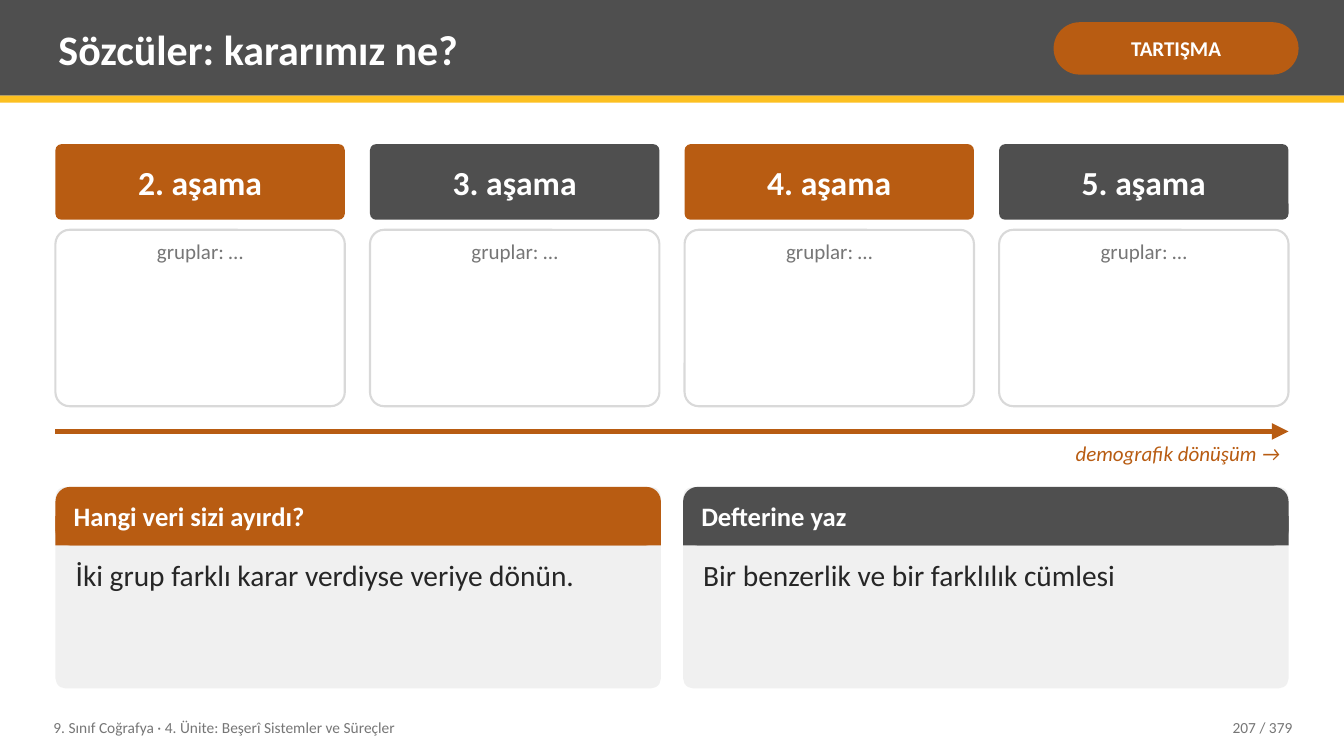
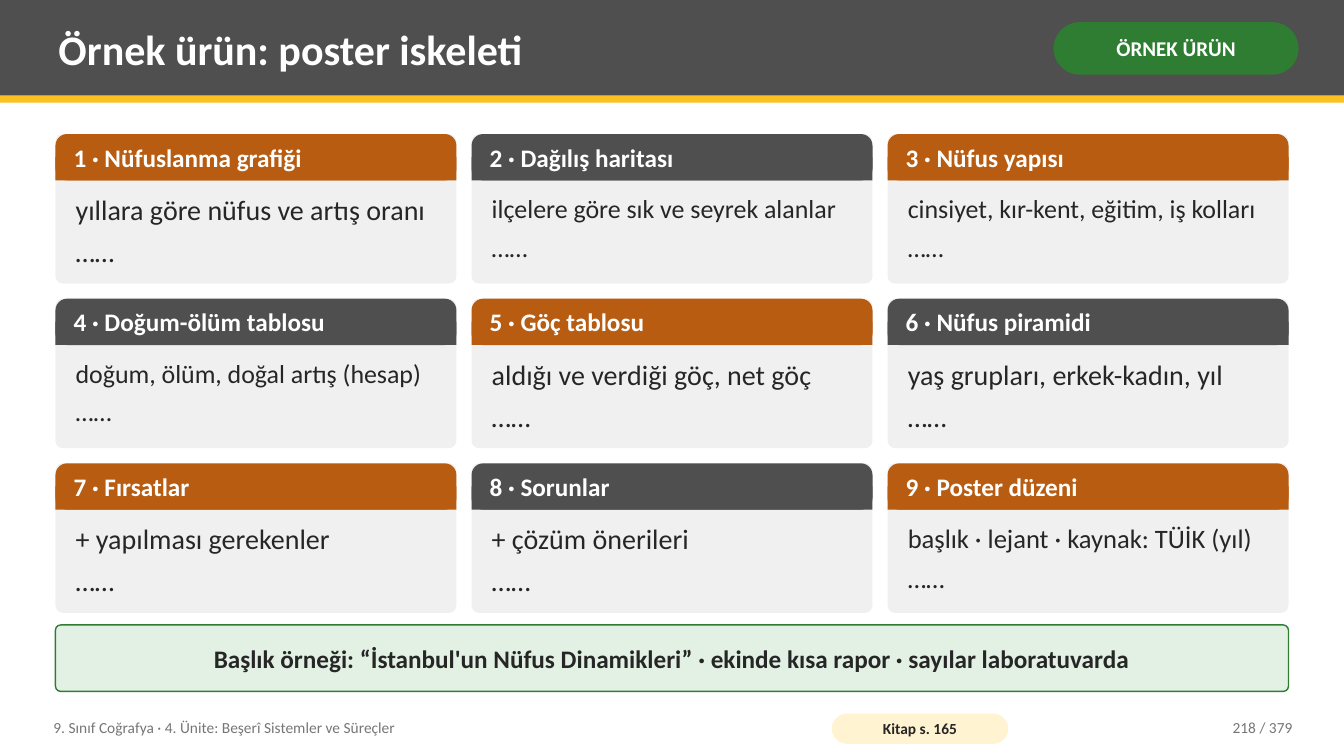
from pptx import Presentation
from pptx.dml.color import RGBColor
from pptx.enum.shapes import MSO_CONNECTOR, MSO_SHAPE as Shape
from pptx.enum.text import MSO_ANCHOR as Anchor, PP_ALIGN as Align
from pptx.oxml.ns import qn
from pptx.util import Emu, Pt
from lxml.etree import SubElement

SCALE = 9144  # EMU in one px, 100 px to the inch
WIDE, HIGH = 1333, 750
LEFT, SPAN = 55, 1223
FONT = "Calibri"

WHITE = RGBColor(0xFF, 0xFF, 0xFF)
GRAY = RGBColor(0x4F, 0x4F, 0x4F)
GOLD = RGBColor(0xFC, 0xC0, 0x21)
RUST = RGBColor(0xB8, 0x5C, 0x12)
GREEN = RGBColor(0x2E, 0x7D, 0x32)
MINT = RGBColor(0xE3, 0xF1, 0xE4)
CREAM = RGBColor(0xFF, 0xF3, 0xD1)
PALE = RGBColor(0xF0, 0xF0, 0xF0)
EDGE = RGBColor(0xD9, 0xD9, 0xD9)
MUTED = RGBColor(0x76, 0x76, 0x76)
INK = RGBColor(0x26, 0x26, 0x26)

UNIT = "9. Sınıf Coğrafya · 4. Ünite: Beşerî Sistemler ve Süreçler"
TOTAL = 379
DOTS = "……"


def px(num):
    return Emu(round(num * SCALE))


def split(start, total, count, gap):
    """Return the starts of equal parts and the size of one part."""
    size = (total - gap * (count - 1)) / count
    return [start + i * (size + gap) for i in range(count)], size


def tint(index):
    return GRAY if index % 2 else RUST


def write(shape, lines, size, color, bold=False, italic=False,
          align=Align.LEFT, anchor=Anchor.MIDDLE, pad=(8, 4), after=0):
    """Fill a shape with one paragraph per line; after is the gap between."""
    frame = shape.text_frame
    frame.word_wrap = True
    frame.vertical_anchor = anchor
    frame.margin_left = frame.margin_right = px(pad[0])
    frame.margin_top = frame.margin_bottom = px(pad[1])
    frame.text = "\n".join(lines)
    for para in frame.paragraphs:
        para.alignment = align
        font = para.font
        font.name, font.size, font.color.rgb = FONT, Pt(size), color
        font.bold, font.italic = bold, italic
    for para in frame.paragraphs[:-1]:
        para.space_after = Pt(after)


def label(slide, box, lines, size, color, **style):
    area = slide.shapes.add_textbox(*map(px, box))
    write(area, lines, size, color, **style)


def block(slide, box, fill, curve=None, line=None, weight=1):
    """Add a filled rectangle, rounded when curve is given."""
    kind = Shape.RECTANGLE if curve is None else Shape.ROUNDED_RECTANGLE
    shape = slide.shapes.add_shape(kind, *map(px, box))
    shape.shadow.inherit = False
    if curve is not None:
        shape.adjustments[0] = curve
    shape.fill.solid()
    shape.fill.fore_color.rgb = fill
    if line is None:
        shape.line.fill.background()
    else:
        shape.line.color.rgb = line
        shape.line.width = Pt(weight)
    return shape


def header(slide, title, tag, color):
    block(slide, (0, 0, WIDE, 95), GRAY)
    block(slide, (0, 95, WIDE, 7), GOLD)
    label(slide, (50, 7, 975, 82), [title], 30, WHITE, bold=True)
    pill = block(slide, (1045, 22, 243, 52), color, 0.5)
    write(pill, [tag], 15, WHITE, bold=True, align=Align.CENTER, pad=(5, 2))


def footer(slide, page, book=None):
    label(slide, (45, 704, 760, 36), [UNIT], 11, MUTED)
    if book:
        pill = block(slide, (825, 708, 175, 30), CREAM, 0.5)
        write(pill, [book], 11, INK, bold=True, align=Align.CENTER, pad=(4, 0))
    label(slide, (1130, 704, 160, 36), [f"{page} / {TOTAL}"], 11, MUTED,
          align=Align.RIGHT)


def stage(slide, box, name, color):
    """Stage heading above an empty box for the groups."""
    x, y, w, h = box
    head = block(slide, (x, y, w, 75), color, 0.08)
    write(head, [name], 24, WHITE, bold=True, align=Align.CENTER, pad=(14, 8))
    block(slide, (x, y + 85, w, h - 85), WHITE, 0.08, EDGE, 1.5)
    label(slide, (x, y + 90, w, 40), ["gruplar: …"], 15, MUTED,
          align=Align.CENTER, anchor=Anchor.TOP)


def arrow(slide, x, y, w, text):
    line = slide.shapes.add_connector(
        MSO_CONNECTOR.STRAIGHT, px(x), px(y), px(x + w), px(y))
    line.line.color.rgb = RUST
    line.line.width = Pt(4)
    SubElement(line.line._get_or_add_ln(), qn("a:tailEnd"), type="triangle")
    SubElement(line._element.spPr, qn("a:effectLst"))
    label(slide, (x, y + 5, w, 40), [text], 15, RUST, italic=True,
          align=Align.RIGHT, anchor=Anchor.TOP)


def card(slide, box, bar, color, title, title_size, lines, size):
    """Pale card under a title bar that is bar px high."""
    x, y, w, h = box
    block(slide, box, PALE, 0.05)
    block(slide, (x, y, w, bar), color, 0.25)
    block(slide, (x, y + bar / 2, w, bar / 2), color)
    label(slide, (x + 10, y, w - 20, bar), [title], title_size, WHITE,
          bold=True)
    label(slide, (x + 12, y + bar + 8, w - 24, h - bar - 16), lines, size, INK,
          anchor=Anchor.TOP, after=round(size * 0.3, 1))


def debate(slide):
    header(slide, "Sözcüler: kararımız ne?", "TARTIŞMA", RUST)
    cols, w = split(LEFT, SPAN, 4, 25)
    for i, x in enumerate(cols):
        stage(slide, (x, 143, w, 260), f"{i + 2}. aşama", tint(i))
    arrow(slide, LEFT, 428, SPAN, "demografik dönüşüm →")
    tasks = [
        ("Hangi veri sizi ayırdı?",
         "İki grup farklı karar verdiyse veriye dönün."),
        ("Defterine yaz", "Bir benzerlik ve bir farklılık cümlesi"),
    ]
    cols, w = split(LEFT, SPAN, 2, 22)
    for i, (x, (title, text)) in enumerate(zip(cols, tasks)):
        card(slide, (x, 483, w, 200), 58, tint(i), title, 19, [text], 21)
    footer(slide, 207)


def poster(slide):
    header(slide, "Örnek ürün: poster iskeleti", "ÖRNEK ÜRÜN", GREEN)
    parts = [
        ("Nüfuslanma grafiği", "yıllara göre nüfus ve artış oranı", 20),
        ("Dağılış haritası", "ilçelere göre sık ve seyrek alanlar", 18.5),
        ("Nüfus yapısı", "cinsiyet, kır-kent, eğitim, iş kolları", 18.5),
        ("Doğum-ölüm tablosu", "doğum, ölüm, doğal artış (hesap)", 18.5),
        ("Göç tablosu", "aldığı ve verdiği göç, net göç", 20),
        ("Nüfus piramidi", "yaş grupları, erkek-kadın, yıl", 20),
        ("Fırsatlar", "+ yapılması gerekenler", 20),
        ("Sorunlar", "+ çözüm önerileri", 20),
        ("Poster düzeni", "başlık · lejant · kaynak: TÜİK (yıl)", 19),
    ]
    cols, w = split(LEFT, SPAN, 3, 15)
    rows, h = split(133, 475, 3, 15)
    for i, (title, text, size) in enumerate(parts):
        box = (cols[i % 3], rows[i // 3], w, h)
        card(slide, box, 46, tint(i), f"{i + 1} · {title}", 18,
             [text, DOTS], size)
    note = block(slide, (LEFT, 620, SPAN, 66), MINT, 0.08, GREEN)
    write(note, ["Başlık örneği: “İstanbul'un Nüfus Dinamikleri” · "
                 "ekinde kısa rapor · sayılar laboratuvarda"],
          18, INK, bold=True, align=Align.CENTER, pad=(14, 8))
    footer(slide, 218, "Kitap s. 165")


def main():
    deck = Presentation()
    deck.slide_width, deck.slide_height = px(WIDE), px(HIGH)
    for build in (debate, poster):
        build(deck.slides.add_slide(deck.slide_layouts[6]))
    deck.save("out.pptx")


if __name__ == "__main__":
    main()
